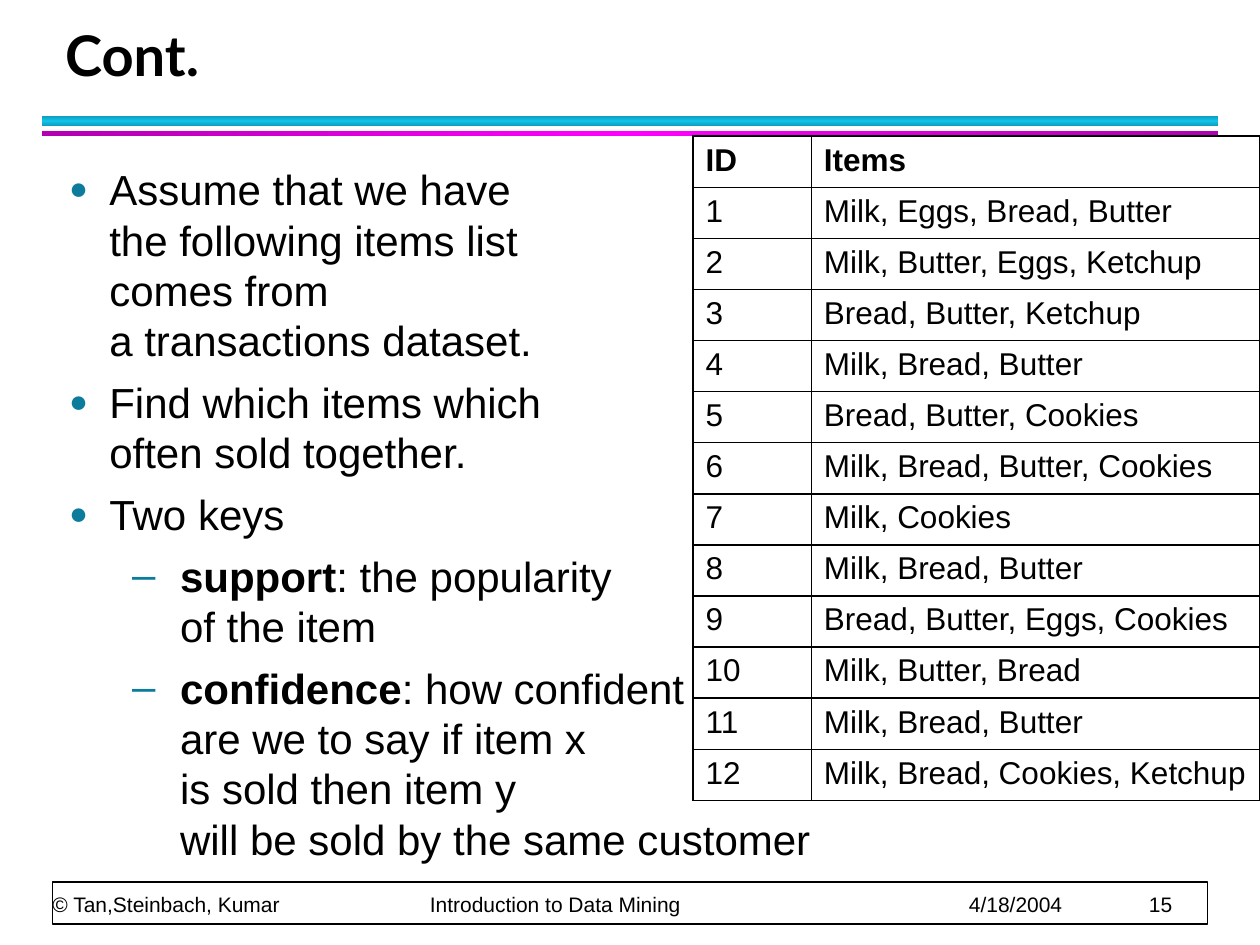
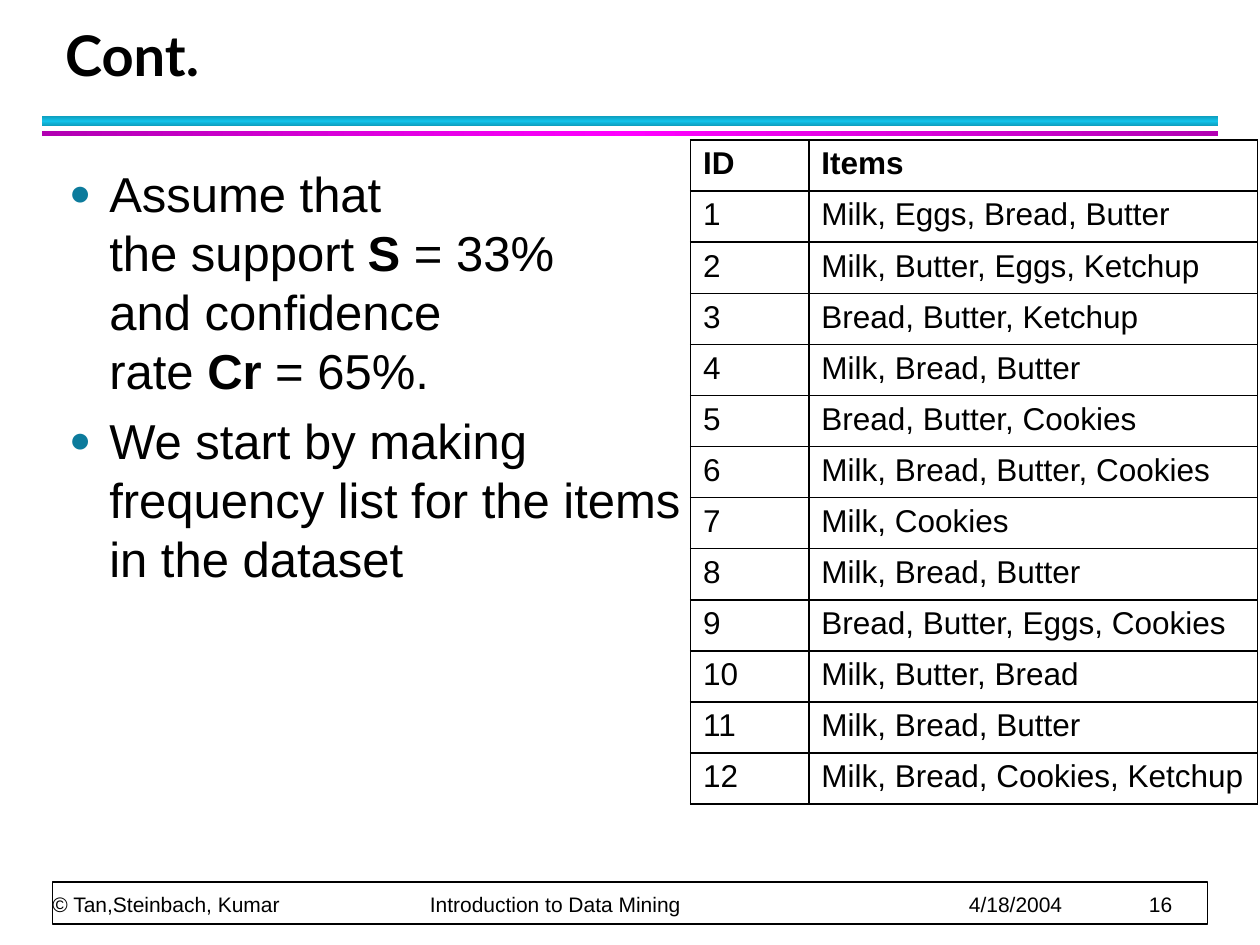
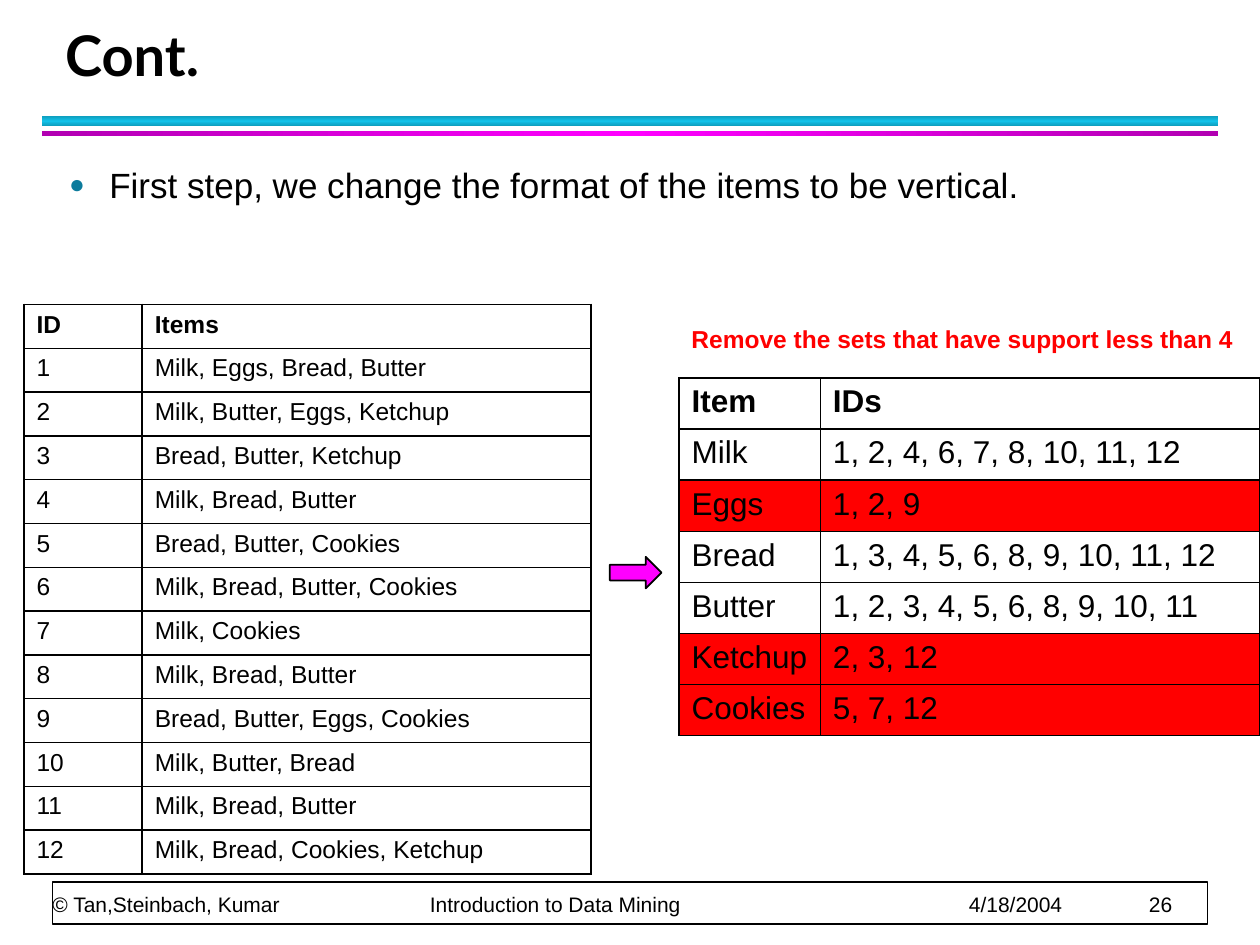
import copy

import lxml.etree
import pptx
import pptx.dml.color
import pptx.enum.shapes
import pptx.enum.text
import pptx.oxml.ns
import pptx.util

Pt = pptx.util.Pt
RGBColor = pptx.dml.color.RGBColor
MSO_SHAPE = pptx.enum.shapes.MSO_SHAPE
MSO_ANCHOR = pptx.enum.text.MSO_ANCHOR

BLACK = RGBColor(0x00, 0x00, 0x00)
WHITE = RGBColor(0xFF, 0xFF, 0xFF)
RED = RGBColor(0xFF, 0x00, 0x00)
MAGENTA = RGBColor(0xFF, 0x00, 0xFF)
DARK_MAGENTA = RGBColor(0xB2, 0x00, 0xB2)
CYAN = RGBColor(0x12, 0xC2, 0xE9)
DARK_CYAN = RGBColor(0x0E, 0x9B, 0xBA)
BULLET_TEAL = RGBColor(0x0C, 0x7B, 0x9C)

BODY_FONT = "Arial"
TITLE_FONT = "Lato"

# Bullet character, size in percent, text indent and hanging indent per level
BULLETS = [("●", 75, 23, 23), ("–", 100, 63.4, 27.4)]
FOOTER_TABS = [215.7, 523.7, 626.6]

TRANSACTIONS = [
    "Milk, Eggs, Bread, Butter",
    "Milk, Butter, Eggs, Ketchup",
    "Bread, Butter, Ketchup",
    "Milk, Bread, Butter",
    "Bread, Butter, Cookies",
    "Milk, Bread, Butter, Cookies",
    "Milk, Cookies",
    "Milk, Bread, Butter",
    "Bread, Butter, Eggs, Cookies",
    "Milk, Butter, Bread",
    "Milk, Bread, Butter",
    "Milk, Bread, Cookies, Ketchup",
]
TRANSACTION_ROWS = [("ID", "Items")] + [
    (str(number), items) for number, items in enumerate(TRANSACTIONS, 1)
]
TRANSACTION_COLUMNS = [67.6, 256.4]

VERTICAL_ROWS = [
    ("Item", "IDs"),
    ("Milk", "1, 2, 4, 6, 7, 8, 10, 11, 12"),
    ("Eggs", "1, 2, 9"),
    ("Bread", "1, 3, 4, 5, 6, 8, 9, 10, 11, 12"),
    ("Butter", "1, 2, 3, 4, 5, 6, 8, 9, 10, 11"),
    ("Ketchup", "2, 3, 12"),
    ("Cookies", "5, 7, 12"),
]
REMOVED_ITEMS = {"Eggs", "Ketchup", "Cookies"}


def add_xml(parent, tag, **attributes):
    child = lxml.etree.SubElement(parent, pptx.oxml.ns.qn(tag))
    for name, value in attributes.items():
        child.set(name, str(value))
    return child


class Deck:
    def __init__(self):
        self.presentation = pptx.Presentation()
        self.presentation.slide_width = Pt(720)
        self.presentation.slide_height = Pt(540)
        self.slide = None

    def add_slide(self, title, number):
        layout = self.presentation.slide_layouts.get_by_name("Title Only")
        self.slide = self.presentation.slides.add_slide(layout)
        self.add_footer(number)
        self.add_band(66.2, 6, DARK_CYAN, CYAN, 90)
        self.add_band(75, 3, DARK_MAGENTA, MAGENTA, 0)
        self.set_title(title)

    def add_run(self, paragraph, text, size, bold=False, color=BLACK, font=BODY_FONT):
        """Add text to a paragraph, turning each newline into a line break."""
        for index, line in enumerate(text.split("\n")):
            if index:
                paragraph.add_line_break()
            if line:
                run = paragraph.add_run()
                run.text = line
                run.font.name = font
                run.font.size = Pt(size)
                run.font.bold = bold
                run.font.color.rgb = color

    def set_title(self, text):
        title = self.slide.shapes.title
        title.left, title.top, title.width, title.height = Pt(30), Pt(12), Pt(652), Pt(42)
        frame = title.text_frame
        frame.auto_size = pptx.enum.text.MSO_AUTO_SIZE.NONE
        frame.vertical_anchor = MSO_ANCHOR.BOTTOM
        paragraph = frame.paragraphs[0]
        paragraph.alignment = pptx.enum.text.PP_ALIGN.LEFT
        paragraph.line_spacing = Pt(36)
        self.add_run(paragraph, text, 32, bold=True, font=TITLE_FONT)

    def add_shape(self, kind, left, top, width, height, fill=None, line=None):
        shape = self.slide.shapes.add_shape(kind, Pt(left), Pt(top), Pt(width), Pt(height))
        shape.shadow.inherit = False
        if fill is not None:
            shape.fill.solid()
            shape.fill.fore_color.rgb = fill
        if line is None:
            shape.line.fill.background()
        else:
            shape.line.color.rgb = line
            shape.line.width = Pt(1)
        return shape

    def add_band(self, top, height, edge, middle, angle):
        band = self.add_shape(MSO_SHAPE.RECTANGLE, 24, top, 672, height)
        band.fill.gradient()
        band.fill.gradient_angle = angle
        stop_list = band._element.xpath(".//a:gsLst")[0]
        stop_list.append(copy.deepcopy(stop_list[0]))
        for index, color in enumerate((edge, middle, edge)):
            stop = band.fill.gradient_stops[index]
            stop.position = index / 2
            stop.color.rgb = color

    def add_text_box(self, left, top, width, height, wrap=True):
        box = self.slide.shapes.add_textbox(Pt(left), Pt(top), Pt(width), Pt(height))
        box.text_frame.word_wrap = wrap
        return box.text_frame

    def add_footer(self, number):
        self.add_shape(MSO_SHAPE.RECTANGLE, 30, 504, 660, 24, WHITE, BLACK)
        frame = self.add_text_box(30, 504, 659, 20)
        frame.margin_left = frame.margin_right = frame.margin_top = frame.margin_bottom = 0
        frame.vertical_anchor = MSO_ANCHOR.BOTTOM
        paragraph = frame.paragraphs[0]
        paragraph.line_spacing = Pt(20)
        tabs = add_xml(paragraph._p.get_or_add_pPr(), "a:tabLst")
        for position in FOOTER_TABS:
            add_xml(tabs, "a:tab", pos=int(Pt(position)), algn="l")
        parts = ["© Tan,Steinbach, Kumar", "Introduction to Data Mining", "4/18/2004", str(number)]
        self.add_run(paragraph, "\t".join(parts), 12)

    def add_bullets(self, size, items):
        """Each item is a level and the runs, bold ones given as one-item lists."""
        frame = self.add_text_box(32.4, 90, 655, 408)
        for index, (level, *runs) in enumerate(items):
            paragraph = frame.add_paragraph() if index else frame.paragraphs[0]
            paragraph.level = level
            paragraph.line_spacing = Pt(size * 1.2)
            paragraph.space_before = Pt(size * 0.1)
            paragraph.space_after = Pt(4)
            character, percent, indent, hanging = BULLETS[level]
            properties = paragraph._p.get_or_add_pPr()
            properties.set("marL", str(int(Pt(indent))))
            properties.set("indent", str(-int(Pt(hanging))))
            color = add_xml(properties, "a:buClr")
            add_xml(color, "a:srgbClr", val=BULLET_TEAL)
            add_xml(properties, "a:buSzPct", val=percent * 1000)
            add_xml(properties, "a:buFont", typeface=BODY_FONT)
            add_xml(properties, "a:buChar", char=character)
            for run in runs:
                bold = isinstance(run, list)
                self.add_run(paragraph, run[0] if bold else run, size, bold)

    def add_table(self, left, top, columns, row_height, rows, size, marked=()):
        """Add a ruled table; rows whose first cell is in marked turn red."""
        frame = self.slide.shapes.add_table(
            len(rows), len(columns), Pt(left), Pt(top),
            Pt(sum(columns)), Pt(row_height * len(rows)),
        )
        table = frame.table
        table.horz_banding = False
        for column, width in zip(table.columns, columns):
            column.width = Pt(width)
        for row_index, (row, texts) in enumerate(zip(table.rows, rows)):
            row.height = Pt(row_height)
            for cell, text in zip(row.cells, texts):
                self.add_run(cell.text_frame.paragraphs[0], text, size, bold=row_index == 0)
                self.add_borders(cell)
                if texts[0] in marked:
                    cell.fill.solid()
                    cell.fill.fore_color.rgb = RED
                else:
                    cell.fill.background()

    def add_borders(self, cell):
        properties = cell._tc.get_or_add_tcPr()
        for side in ("a:lnL", "a:lnR", "a:lnT", "a:lnB"):
            line = add_xml(properties, side, w=int(Pt(1)))
            add_xml(add_xml(line, "a:solidFill"), "a:srgbClr", val=BLACK)

    def add_transactions(self, left, top, row_height, size):
        self.add_table(left, top, TRANSACTION_COLUMNS, row_height, TRANSACTION_ROWS, size)


def main():
    deck = Deck()

    deck.add_slide("Cont.", 15)
    deck.add_bullets(24, [
        (0, "Assume that we have\nthe following items list\ncomes from\na transactions dataset."),
        (0, "Find which items which\noften sold together."),
        (0, "Two keys"),
        (1, ["support"], ": the popularity\nof the item"),
        (1, ["confidence"], ": how confident\nare we to say if item x\nis sold then item y\n"
                            "will be sold by the same customer"),
    ])
    deck.add_transactions(396, 77.8, 29.2, 18)

    deck.add_slide("Cont.", 16)
    deck.add_bullets(28, [
        (0, "Assume that\nthe support ", ["S"], " = 33%\nand confidence\nrate ", ["Cr"], " = 65%."),
        (0, "We start by making\nfrequency list for the items\nin the dataset"),
    ])
    deck.add_transactions(394.6, 80, 29.2, 18)

    deck.add_slide("Cont.", 26)
    deck.add_bullets(20, [(0, "First step, we change the format of the items to be vertical.")])
    deck.add_table(388, 216, [80.8, 251.2], 29.2, VERTICAL_ROWS, 18, REMOVED_ITEMS)
    deck.add_shape(MSO_SHAPE.RIGHT_ARROW, 348.5, 318.2, 29.5, 18, MAGENTA, BLACK)
    deck.add_transactions(13.7, 174, 25.04, 14)
    note = deck.add_text_box(388, 181.5, 325, 24.5, wrap=False)
    deck.add_run(note.paragraphs[0], "Remove the sets that have support less than 4", 14, True, RED)

    deck.presentation.save("out.pptx")


if __name__ == "__main__":
    main()
